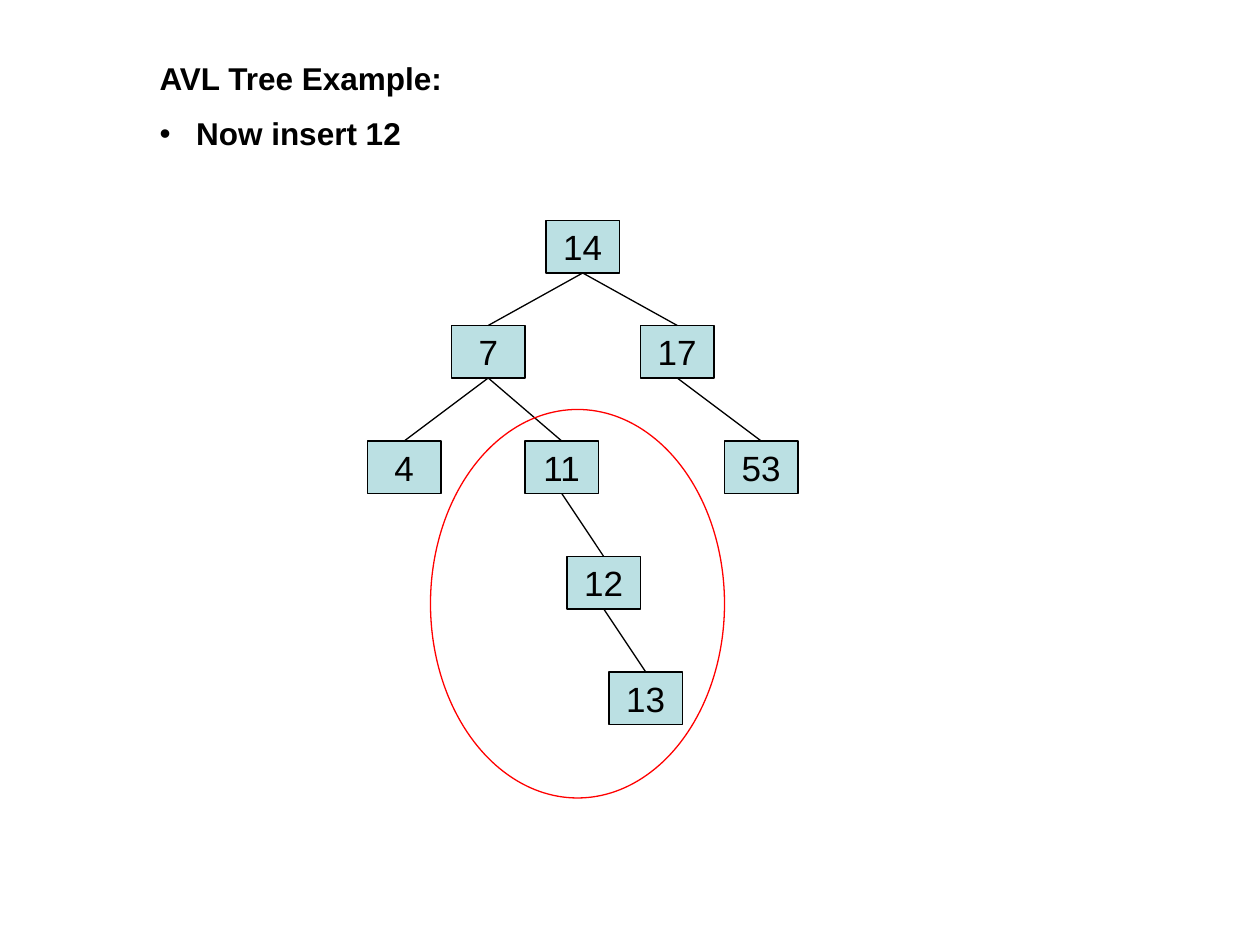
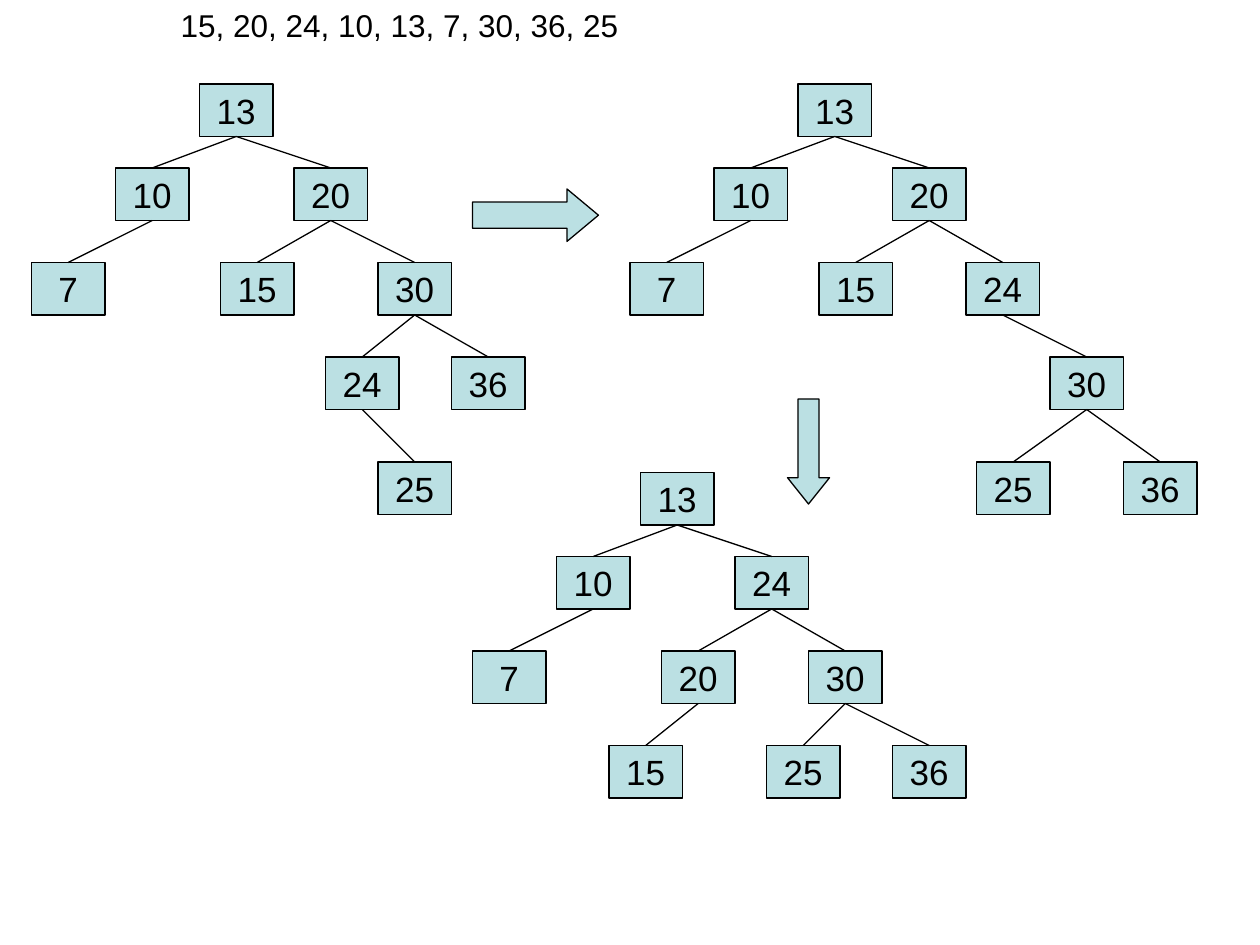
"""Two slides on AVL trees: an unbalanced insertion and a double rotation."""
from lxml import etree
from pptx import Presentation
from pptx import util as u
from pptx.dml.color import RGBColor
from pptx.enum import shapes, text
from pptx.oxml import ns

BLACK = RGBColor(0x00, 0x00, 0x00)
RED = RGBColor(0xFF, 0x00, 0x00)
PALE_TEAL = RGBColor(0xBB, 0xE0, 0xE3)
FONT = "Arial"
TEXT_SIZE, KEY_SIZE, LINE_WIDTH = 18, 20, 0.74

# The slide is a grid of 120 columns and 90 rows; boxes are (column, row, columns, rows).
COLUMNS, ROWS = 120, 90
CELL = u.Inches(10) // COLUMNS
NODE_COLUMNS, NODE_ROWS = 7, 5
TITLE_AND_CONTENT, TITLE_ONLY = 1, 5

HEADING, HEADING_BOX = "AVL Tree Example:", (14, 5, 94, 5.3)
STEP, STEP_BOX = "Now insert 12", (14, 10.3, 94, 5.3)
SEQUENCE, SEQUENCE_BOX = "15, 20, 24, 10, 13, 7, 30, 36, 25", (10, 0, 98, 4.8)

# A node is (key, columns to the right of its parent, children).
INSERT_TREE = ("14", 0, [
    ("7", -9, [("4", -8, []),
               ("11", 7, [("12", 4, [("13", 4, [])])])]),
    ("17", 9, [("53", 8, [])])])
INSERT_LEVELS = (0, 10, 21, 32, 43)
UNBALANCED_BOX = (41, 39, 28, 37)

LEFT_BRANCH = ("10", -8, [("7", -8, [])])
BEFORE_TREE = ("13", 0, [LEFT_BRANCH, ("20", 9, [
    ("15", -7, []),
    ("30", 8, [("24", -5, [("25", 5, [])]), ("36", 7, [])])])])
FIRST_ROTATION = ("13", 0, [LEFT_BRANCH, ("20", 9, [
    ("15", -7, []),
    ("24", 7, [("30", 8, [("25", -7, []), ("36", 7, [])])])])])
SECOND_ROTATION = ("13", 0, [LEFT_BRANCH, ("24", 9, [
    ("20", -7, [("15", -5, [])]),
    ("30", 7, [("25", -4, []), ("36", 8, [])])])])
ROTATION_LEVELS = (0, 8, 17, 26, 36)
ROTATIONS = [(BEFORE_TREE, 19, 8), (FIRST_ROTATION, 76, 8), (SECOND_ROTATION, 61, 45)]
ARROWS = [
    (shapes.MSO_SHAPE.RIGHT_ARROW, (45, 18, 12, 5), (0.5, 0.6)),
    (shapes.MSO_SHAPE.DOWN_ARROW, (75, 38, 4, 10), (0.5, 0.625)),
]


def place(box):
    """Turn a grid box into lengths."""
    return [u.Emu(round(part * CELL)) for part in box]


def style_text(paragraph, size, bold=False):
    """Give a paragraph's runs the common font."""
    for run in paragraph.runs:
        run.font.name, run.font.size, run.font.bold = FONT, u.Pt(size), bold
        run.font.color.rgb = BLACK


def fill_placeholder(placeholder, words, box, bold=False, indent=0, hanging=0):
    """Move a placeholder and write one left-aligned line in it."""
    placeholder.left, placeholder.top, placeholder.width, placeholder.height = place(box)
    frame = placeholder.text_frame
    frame.text = words
    frame.word_wrap, frame.auto_size = True, text.MSO_AUTO_SIZE.NONE
    frame.vertical_anchor = text.MSO_ANCHOR.TOP
    frame.margin_left = u.Inches(0.1 + indent)
    paragraph = frame.paragraphs[0]
    paragraph.alignment, paragraph.space_before = text.PP_ALIGN.LEFT, u.Pt(0)
    if hanging:
        properties = paragraph._p.get_or_add_pPr()
        properties.set("marL", str(u.Inches(hanging)))
        properties.set("indent", str(-u.Inches(hanging)))
    style_text(paragraph, TEXT_SIZE, bold)


def add_outlined(slide, kind, box, fill=PALE_TEAL, line=BLACK):
    """Add a flat preset shape with a thin outline."""
    shape = slide.shapes.add_shape(kind, *place(box))
    shape.shadow.inherit = False
    if fill is None:
        shape.fill.background()
    else:
        shape.fill.solid()
        shape.fill.fore_color.rgb = fill
    shape.line.color.rgb, shape.line.width = line, u.Pt(LINE_WIDTH)
    return shape


def add_edge(slide, parent, child):
    """Join the bottom of a parent to the top of its child."""
    edge = slide.shapes.add_connector(shapes.MSO_CONNECTOR.STRAIGHT, 0, 0, 0, 0)
    edge.begin_connect(parent, 2)
    edge.end_connect(child, 0)
    edge.line.color.rgb, edge.line.width = BLACK, u.Pt(LINE_WIDTH)
    etree.SubElement(edge._element.spPr, ns.qn("a:effectLst"))


def add_tree(slide, node, column, row, levels, depth=0):
    """Draw a node and, below it, its children; return the node's shape."""
    key, shift, children = node
    column += shift
    shape = add_outlined(slide, shapes.MSO_SHAPE.RECTANGLE,
                         (column, row + levels[depth], NODE_COLUMNS, NODE_ROWS))
    frame = shape.text_frame
    frame.text, frame.word_wrap = key, False
    frame.vertical_anchor = text.MSO_ANCHOR.MIDDLE
    frame.paragraphs[0].alignment = text.PP_ALIGN.CENTER
    style_text(frame.paragraphs[0], KEY_SIZE)
    for child in children:
        add_edge(slide, shape, add_tree(slide, child, column, row, levels, depth + 1))
    return shape


def build_insertion(presentation):
    """Show the tree after an insertion, with the unbalanced part ringed."""
    slide = presentation.slides.add_slide(presentation.slide_layouts[TITLE_AND_CONTENT])
    fill_placeholder(slide.shapes.title, HEADING, HEADING_BOX, bold=True)
    fill_placeholder(slide.placeholders[1], STEP, STEP_BOX, bold=True, hanging=0.29)
    add_tree(slide, INSERT_TREE, 52, 21, INSERT_LEVELS)
    add_outlined(slide, shapes.MSO_SHAPE.OVAL, UNBALANCED_BOX, fill=None, line=RED)


def build_rotations(presentation):
    """Show a tree and the two rotations that balance it."""
    slide = presentation.slides.add_slide(presentation.slide_layouts[TITLE_ONLY])
    fill_placeholder(slide.shapes.title, SEQUENCE, SEQUENCE_BOX, indent=0.5)
    for tree, column, row in ROTATIONS:
        add_tree(slide, tree, column, row, ROTATION_LEVELS)
    for kind, box, adjustments in ARROWS:
        arrow = add_outlined(slide, kind, box)
        for index, value in enumerate(adjustments):
            arrow.adjustments[index] = value


presentation = Presentation()
presentation.slide_width, presentation.slide_height = COLUMNS * CELL, ROWS * CELL
build_insertion(presentation)
build_rotations(presentation)
presentation.save("out.pptx")
